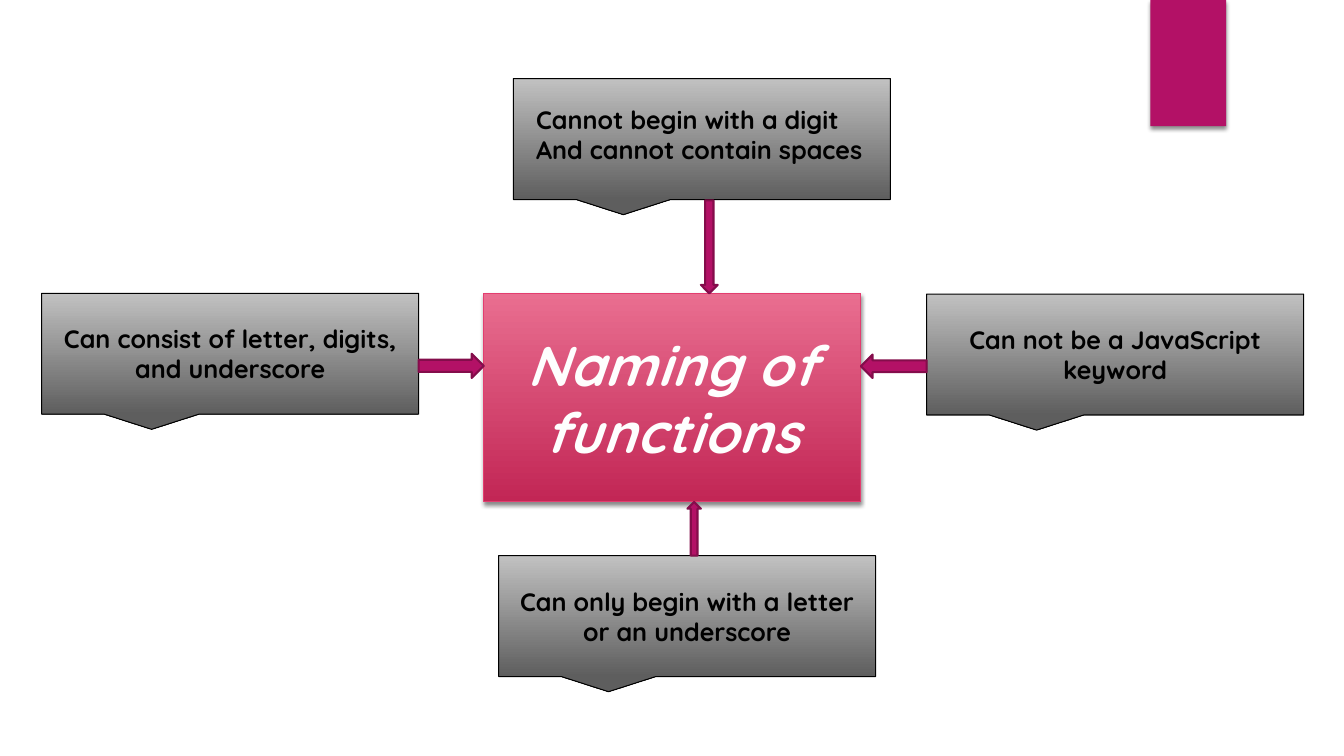
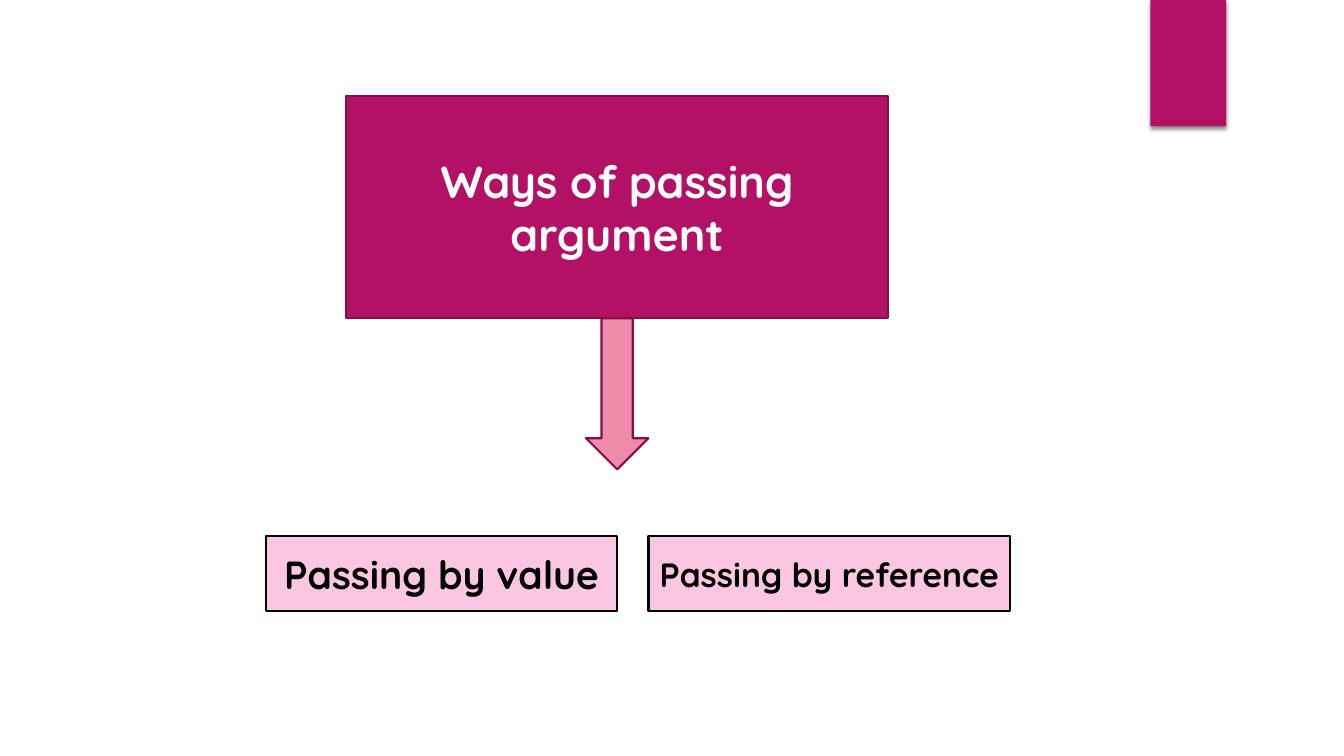
from collections import namedtuple

from lxml import etree
from pptx import Presentation
from pptx.dml.color import RGBColor
from pptx.enum import shapes, text
from pptx.oxml import ns
from pptx.util import Inches, Pt

FONT = "Quicksand"
PLUM = RGBColor(0xB3, 0x11, 0x66)
DARK = RGBColor(0x84, 0x0D, 0x4B)
ROSE = RGBColor(0xEE, 0x8B, 0xA9)
PINK = RGBColor(0xFA, 0xC6, 0xE1)
EDGE = RGBColor(0xE3, 0x3D, 0x6F)
BLACK = RGBColor(0, 0, 0)
WHITE = RGBColor(0xFF, 0xFF, 0xFF)
PALE = RGBColor(0xFE, 0xFE, 0xFE)
RED_FADE = [RGBColor(0xE9, 0x6E, 0x90), RGBColor(0xC2, 0x26, 0x55)]
GREY_FADE = [RGBColor(0xC1, 0xC1, 0xC1), RGBColor(0x5E, 0x5E, 0x5E)]
KIND = shapes.MSO_SHAPE
MID = text.PP_ALIGN.CENTER
LEFT = text.PP_ALIGN.LEFT


class Box(namedtuple("Box", "x y w h")):
    """A region; its parts are given in percent of its size."""

    def cut(self, x, y, w, h):
        return Box(round(self.x + self.w * x / 100), round(self.y + self.h * y / 100),
                   round(self.w * w / 100), round(self.h * h / 100))


def node(parent, tag, **attrs):
    return etree.SubElement(parent, ns.qn(tag), {k: str(v) for k, v in attrs.items()})


def paint(shape, fill, line=None, width=1.5):
    shape.shadow.inherit = False
    if isinstance(fill, list):
        shape.fill.gradient()
        shape.fill.gradient_angle = 270
        for stop, tone in zip(shape.fill.gradient_stops, fill):
            stop.color.rgb = tone
    else:
        shape.fill.solid()
        shape.fill.fore_color.rgb = fill
    if line is None:
        shape.line.fill.background()
    else:
        shape.line.color.rgb = line
        shape.line.width = Pt(width)


def shade(shape):
    # Soft shadow below the shape
    fx = shape.element.spPr.find(ns.qn("a:effectLst"))
    cast = node(fx, "a:outerShdw", blurRad=Pt(3), dist=Pt(2), dir=5400000,
                algn="ctr", rotWithShape=0)
    tone = node(cast, "a:srgbClr", val=BLACK)
    node(tone, "a:alpha", val=45000)


def write(shape, lines, size, tone=BLACK, align=MID, anchor=text.MSO_ANCHOR.MIDDLE):
    frame = shape.text_frame
    frame.word_wrap = True
    frame.auto_size = text.MSO_AUTO_SIZE.NONE
    frame.vertical_anchor = anchor
    for i, line in enumerate(lines):
        para = frame.add_paragraph() if i else frame.paragraphs[0]
        para.alignment = align
        run = para.add_run()
        run.text = line
        font = run.font
        font.name, font.size, font.bold = FONT, Pt(size), True
        font.color.rgb = tone
    return run


def draw(slide, kind, box, fill, line=None, width=1.5):
    shape = slide.shapes.add_shape(kind, *box)
    paint(shape, fill, line, width)
    return shape


def head(slide, box, form, fill, line, width, words, size, tone):
    # Title placeholder shaped as the main block
    title = slide.shapes.title
    title.left, title.top, title.width, title.height = box
    geom = node(title.element.spPr, "a:prstGeom", prst=form)
    node(geom, "a:avLst")
    paint(title, fill, line, width)
    return title, write(title, [words], size, tone)


def band(slide, area):
    # Corner band, moved to the layout that all slides share
    mark = draw(slide, KIND.RECTANGLE, area.cut(85.6, 0, 5.63, 16.7), PLUM)
    shade(mark)
    slide.slide_layout.element.cSld.spTree.append(mark.element)


def note(slide, box, words=None):
    shape = draw(slide, KIND.RECTANGULAR_CALLOUT, box, GREY_FADE, BLACK, 0.75)
    if words:
        write(shape, [words], 18)


def naming(slide, area):
    # Hub
    hub, run = head(slide, area.cut(36, 38.8, 28.05, 27.6), "rect", RED_FADE, EDGE,
                    0.75, "Naming of functions", 40, PALE)
    shade(hub)
    run.font.italic = True
    props = run.font._element
    props.set("spc", "50")
    rim = etree.Element(ns.qn("a:ln"), w=str(Pt(0.75)))
    node(node(rim, "a:solidFill"), "a:srgbClr", val=PLUM)
    props.insert(0, rim)

    # Rules around the hub
    wide, high = 28.05, 16
    for x, y, words in (
        (38.2, 10.4, None),
        (3.1, 38.8, "Can consist of letter, digits, and underscore"),
        (37.1, 73.5, "Can only begin with a letter or an underscore"),
        (68.95, 38.9, "Can not be a JavaScript keyword"),
    ):
        note(slide, area.cut(x, y, wide, high), words)
    label = slide.shapes.add_textbox(*area.cut(39.15, 13.1, 26.2, 13.4))
    write(label, ["Cannot begin with a digit", "And cannot contain spaces"], 18,
          align=LEFT, anchor=text.MSO_ANCHOR.TOP)

    # Arrows from each rule to the hub
    for kind, *spot in (
        (KIND.DOWN_ARROW, 52.15, 26.5, 1.25, 12.3),
        (KIND.RIGHT_ARROW, 31.15, 46.8, 4.85, 3.2),
        (KIND.UP_ARROW, 51.15, 66.4, 1, 7.1),
        (KIND.LEFT_ARROW, 64.05, 46.9, 4.9, 3.1),
    ):
        draw(slide, kind, area.cut(*spot), PLUM, DARK)


def passing(slide, area):
    # Main block and arrow
    head(slide, area.cut(25.75, 12.7, 40.35, 29.4), "roundRect", PLUM, DARK, 1.5,
         "Ways of passing argument", 32, WHITE)
    draw(slide, KIND.DOWN_ARROW, area.cut(43.6, 42.1, 4.65, 20), ROSE, DARK)

    # The two ways
    for x, wide, words, size in (
        (19.8, 26.1, "Passing by value", 28),
        (48.25, 26.9, "Passing by reference", 24),
    ):
        way = draw(slide, KIND.RECTANGLE, area.cut(x, 70.95, wide, 9.9), PINK, BLACK)
        write(way, [words], size)


def main():
    deck = Presentation()
    deck.slide_width, deck.slide_height = Inches(13.33), Inches(7.5)
    area = Box(0, 0, deck.slide_width, deck.slide_height)
    plain = deck.slide_layouts.get_by_name("Title Only")
    for i, build in enumerate((naming, passing)):
        slide = deck.slides.add_slide(plain)
        if i == 0:
            band(slide, area)
        build(slide, area)
    deck.save("out.pptx")


if __name__ == "__main__":
    main()
